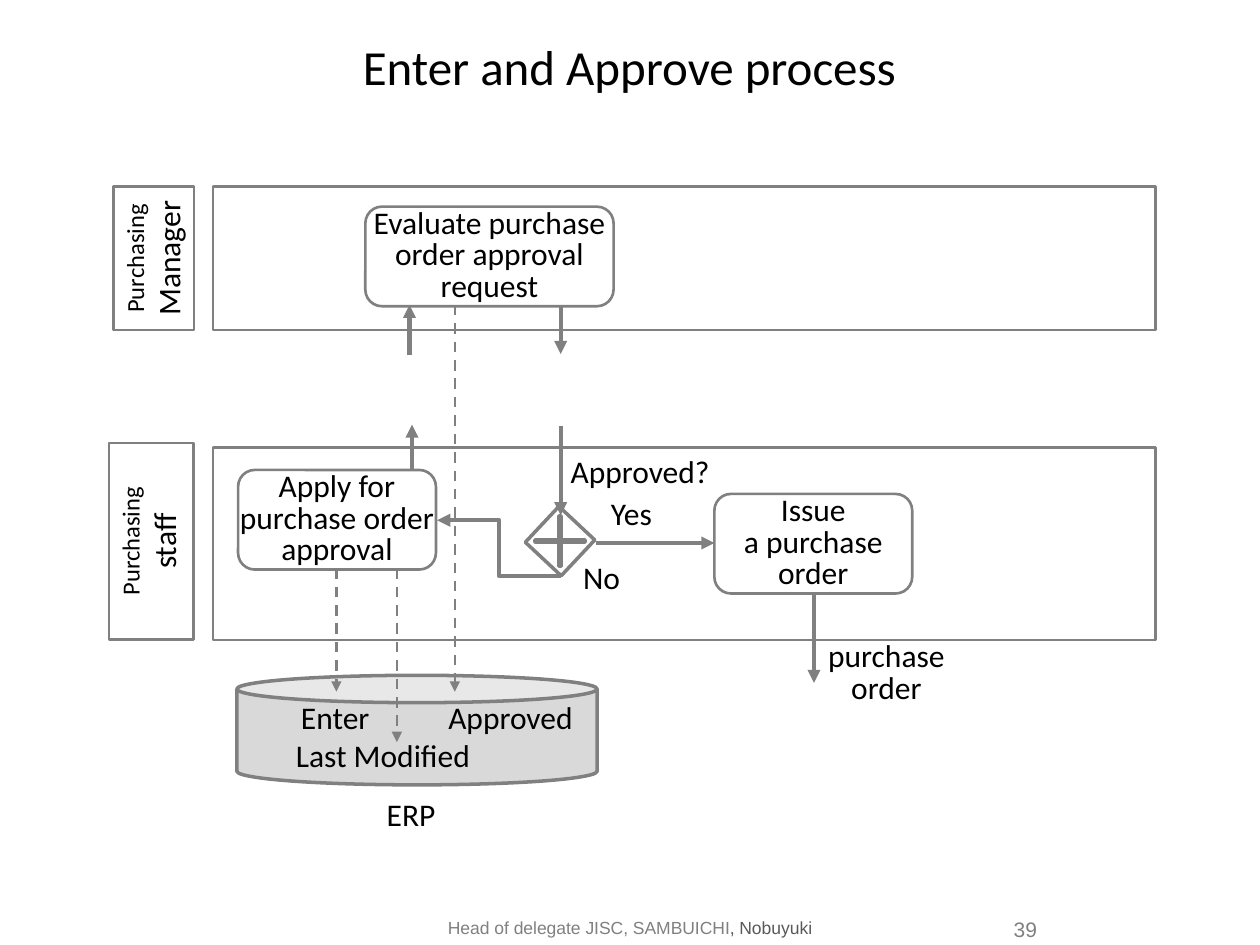
import pptx
import pptx.util
import pptx.dml.color
import pptx.enum.dml
import pptx.enum.shapes
import pptx.enum.text
import pptx.oxml
import pptx.oxml.ns
from pptx.util import Inches

SHAPE = pptx.enum.shapes.MSO_SHAPE
CONNECTOR = pptx.enum.shapes.MSO_CONNECTOR
ALIGN = pptx.enum.text.PP_ALIGN
ANCHOR = pptx.enum.text.MSO_ANCHOR
GRAY = "808080"
BLACK = "000000"


def color(hex_value):
    return pptx.dml.color.RGBColor.from_string(hex_value)


class ProcessSlide:
    """Style of the process diagram and the slide it is drawn on."""

    font = "Calibri"
    size = 18

    def __init__(self, slide):
        self.slide = slide

    def fill_text(self, frame, paragraphs, align=ALIGN.CENTER, anchor=ANCHOR.TOP,
                  spacing=None, insets=None, wrap=True):
        """Fill a frame; each paragraph is a list of (text, size, font, colour)."""
        frame.word_wrap = wrap
        frame.auto_size = pptx.enum.text.MSO_AUTO_SIZE.NONE
        frame.vertical_anchor = anchor
        if insets is not None:
            (frame.margin_left, frame.margin_top,
             frame.margin_right, frame.margin_bottom) = map(Inches, insets)
        for index, runs in enumerate(paragraphs):
            paragraph = frame.paragraphs[0] if index == 0 else frame.add_paragraph()
            paragraph.alignment = align
            if spacing:
                paragraph.line_spacing = pptx.util.Pt(spacing)
            for text, size, font, hex_value in runs:
                run = paragraph.add_run()
                run.text = text
                run.font.size = pptx.util.Pt(size)
                run.font.name = font
                run.font.color.rgb = color(hex_value)

    def plain(self, text, size=None):
        return [(text, size or self.size, self.font, BLACK)]

    def title(self, text, left, top, width, height):
        title = self.slide.shapes.title
        title.left, title.top = Inches(left), Inches(top)
        title.width, title.height = Inches(width), Inches(height)
        self.fill_text(title.text_frame, [self.plain(text, 28)],
                       anchor=ANCHOR.BOTTOM, insets=(0, 0, 0, 0))

    def shape(self, kind, left, top, width, height, fill=None, line=1.5, rotation=0):
        shape = self.slide.shapes.add_shape(
            kind, Inches(left), Inches(top), Inches(width), Inches(height))
        shape.shadow.inherit = False
        shape.rotation = rotation
        if fill:
            shape.fill.solid()
            shape.fill.fore_color.rgb = color(fill)
        else:
            shape.fill.background()
        shape.line.color.rgb = color(GRAY)
        shape.line.width = pptx.util.Pt(line)
        return shape

    def role(self, paragraphs, left, top, width, height, wrap=True):
        label = self.shape(SHAPE.RECTANGLE, left, top, width, height, rotation=270)
        self.fill_text(label.text_frame, paragraphs, wrap=wrap)

    def task(self, lines, left, top, width=1.57, wrap=False):
        task = self.shape(SHAPE.ROUNDED_RECTANGLE, left, top, width, 0.79)
        self.fill_text(task.text_frame, [self.plain(line) for line in lines],
                       anchor=ANCHOR.MIDDLE, spacing=18, insets=(0, 0, 0, 0), wrap=wrap)

    def text(self, paragraphs, left, top, width, height, **style):
        box = self.slide.shapes.add_textbox(
            Inches(left), Inches(top), Inches(width), Inches(height))
        self.fill_text(box.text_frame, paragraphs, **style)

    def label(self, text, left, top, width):
        self.text([self.plain(text)], left, top, width, 0.4,
                  align=ALIGN.LEFT, wrap=False)

    def arrow(self, start, end, kind=CONNECTOR.STRAIGHT, width=2.5, dashed=False):
        arrow = self.slide.shapes.add_connector(
            kind, *(Inches(value) for value in start + end))
        arrow.line.color.rgb = color(GRAY)
        arrow.line.width = pptx.util.Pt(width)
        if dashed:
            arrow.line.dash_style = pptx.enum.dml.MSO_LINE.DASH
        namespace = pptx.oxml.ns.nsdecls("a")
        arrow.line._get_or_add_ln().append(pptx.oxml.parse_xml(
            f'<a:tailEnd {namespace} type="triangle"/>'))
        arrow._element.spPr.append(pptx.oxml.parse_xml(f"<a:effectLst {namespace}/>"))


def main():
    deck = pptx.Presentation()
    deck.slide_width, deck.slide_height = Inches(10), Inches(7.5)
    page = ProcessSlide(deck.slides.add_slide(deck.slide_layouts[5]))

    # Footer
    page.text([[("39", 12, "Arial", GRAY)]], 7.68, 7.19, 0.55, 0.31,
              align=ALIGN.RIGHT, insets=(0.08, 0.08, 0, 0))
    page.text([[("Head of delegate JISC, SAMBUICHI", 10, "Arial", GRAY),
                (", Nobuyuki", 10, "Arial", "595959")]],
              2.6, 7.23, 4.8, 0.27, anchor=ANCHOR.MIDDLE)

    # Database and title
    page.shape(SHAPE.CAN, 1.88, 5.36, 2.86, 0.87, fill="D9D9D9", line=2)
    page.title("Enter and Approve process", 0.98, 0, 8.03, 0.76)

    # Roles
    page.role([page.plain("Purchasing ", 14) + page.plain("Manager")],
              0.65, 1.73, 1.14, 0.64)
    page.role([page.plain("Purchasing", 14), page.plain("staff")],
              0.42, 3.96, 1.56, 0.67, wrap=False)

    # Tasks
    page.task(["Apply for", "purchase order", "approval"], 1.89, 3.73)
    page.task(["Issue", "a purchase", "order"], 5.67, 3.92)
    page.task(["Evaluate purchase order approval request"], 2.9, 1.64,
              width=1.97, wrap=True)

    # Vertical flow: x, start y, end y
    for x, start, end in ((3.27, 3.73, 3.37), (3.25, 2.82, 2.42), (4.45, 2.42, 2.81),
                          (4.45, 3.38, 4.09), (6.46, 4.71, 5.42)):
        page.arrow((x, start), (x, end))

    # Lanes
    for top, height in ((1.48, 1.14), (3.55, 1.53)):
        page.shape(SHAPE.RECTANGLE, 1.69, top, 7.48, height)

    # Approval gateway and its two outcomes
    plus = page.shape(SHAPE.CROSS, 4.25, 4.1, 0.39, 0.39, fill=GRAY, line=2.5)
    plus.adjustments[0] = 0.49
    page.shape(SHAPE.RECTANGLE, 4.25, 4.1, 0.39, 0.39, line=2, rotation=43.1)
    page.arrow((4.45, 4.57), (3.47, 4.13), kind=CONNECTOR.ELBOW)
    page.arrow((4.73, 4.31), (5.67, 4.31))

    # Labels of the flow and the database
    for text, left, top, width in (
            ("Approved?", 4.43, 3.54, 1.32), ("Yes", 4.75, 3.87, 0.53),
            ("No", 4.53, 4.38, 0.5), ("Last Modified", 2.25, 5.79, 1.6),
            ("Enter", 2.29, 5.49, 0.75), ("Approved", 3.46, 5.49, 1.2),
            ("ERP", 2.97, 6.26, 0.59)):
        page.label(text, left, top, width)
    page.text([page.plain("purchase"), page.plain("order")],
              6.46, 5.05, 1.15, 0.61, spacing=18)

    # Records kept in the database: x, start y, end y
    for x, start, end in ((3.61, 2.42, 5.49), (3.15, 4.51, 5.89), (2.67, 4.51, 5.49)):
        page.arrow((x, start), (x, end), width=1.5, dashed=True)

    deck.save("out.pptx")


if __name__ == "__main__":
    main()
